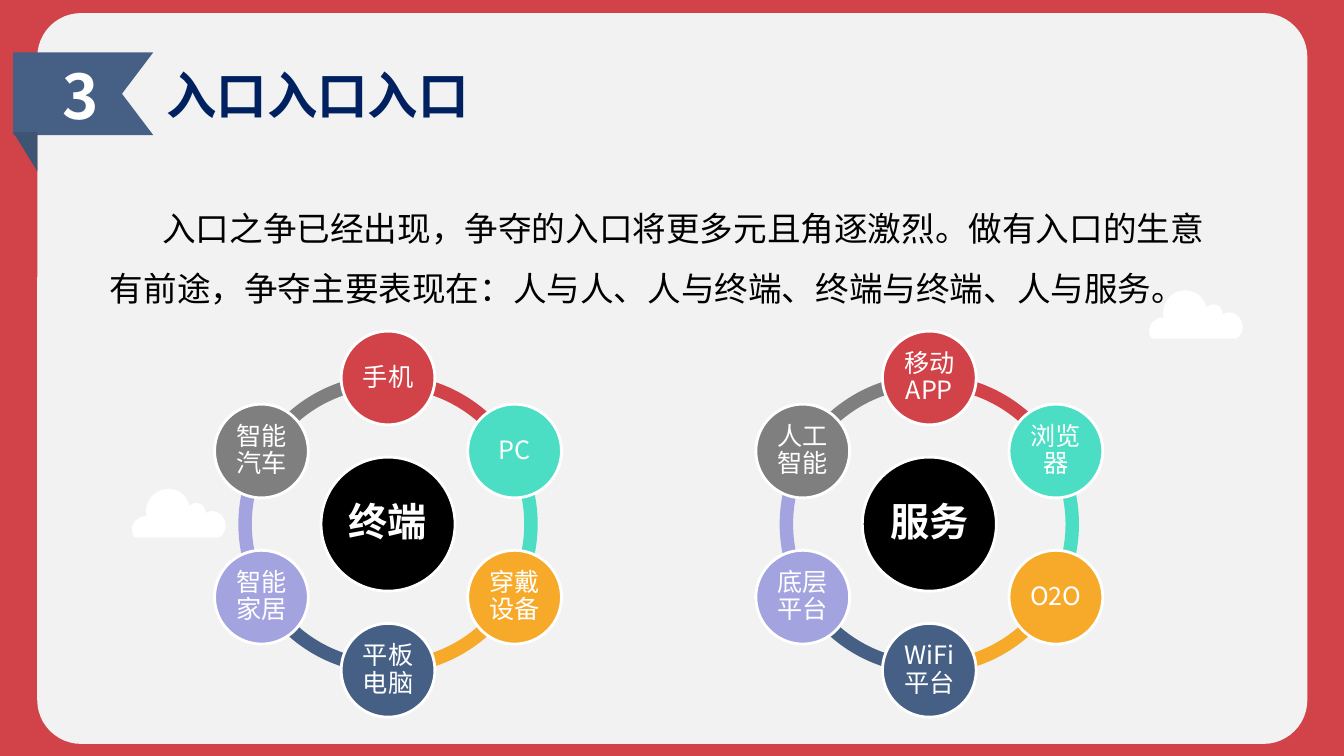
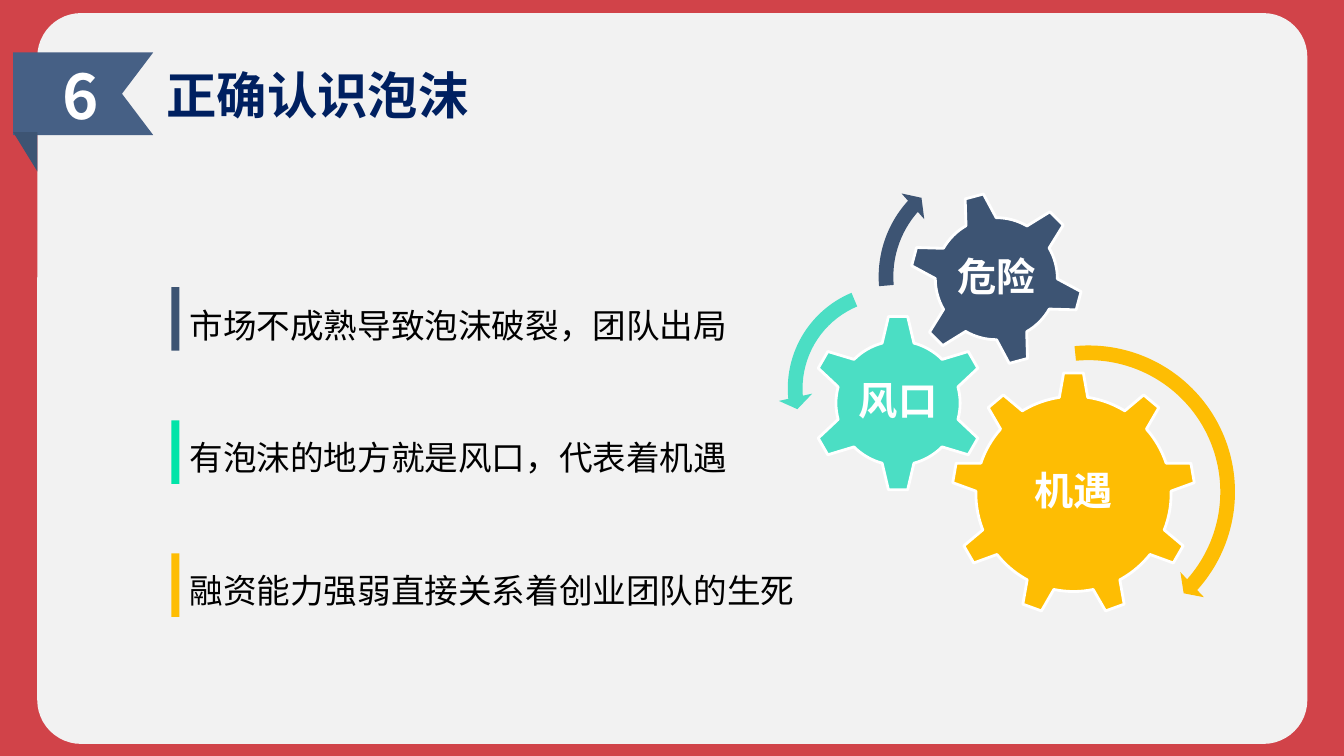
import math
from dataclasses import dataclass

import pptx
import pptx.dml.color
import pptx.enum.shapes
import pptx.enum.text
import pptx.oxml
import pptx.oxml.ns
import pptx.util

SHAPE = pptx.enum.shapes.MSO_SHAPE
ALIGN = pptx.enum.text.PP_ALIGN
ANCHOR = pptx.enum.text.MSO_ANCHOR
EMU_PER_PX = 9144  # 100 px to the inch
SLIDE_HEIGHT = 750
SLIDE_WIDTH = SLIDE_HEIGHT * 16 / 9


@dataclass(frozen=True)
class Theme:
    red: str = "D14349"
    paper: str = "F2F2F2"
    navy: str = "466085"
    dark_navy: str = "3D5473"
    title: str = "002060"
    teal: str = "4BDEC4"
    green: str = "00E4A8"
    orange: str = "F7AA2A"
    yellow: str = "FEBD03"
    lavender: str = "A3A3E0"
    grey: str = "7F7F7F"
    black: str = "000000"
    white: str = "FFFFFF"
    font: str = "Noto Sans CJK SC"
    number_font: str = "Noto Sans CJK JP"
    number_size: int = 44
    title_size: int = 36
    hub_size: int = 28
    body_size: int = 24
    node_size: int = 18


THEME = Theme()
RING_COLORS = (THEME.red, THEME.teal, THEME.orange,
               THEME.navy, THEME.lavender, THEME.grey)

# Cloud outline: start point, then cubic curves or single line ends
CLOUD_START = (36, 0)
CLOUD_SEGMENTS = (
    (46, 0, 55, 7, 57, 17), (59, 15, 61, 14, 64, 14),
    (69, 14, 73, 18, 73, 24), (75, 23, 77, 22, 79, 22),
    (87, 22, 93, 29, 93, 36), (93, 41, 90, 46, 87, 48),
    (3, 48), (1, 46, 0, 44, 0, 41), (0, 33, 6, 27, 14, 27), (15, 27),
    (14, 26, 14, 24, 14, 22), (14, 10, 24, 0, 36, 0),
)


# Basic elements
def px(length):
    return pptx.util.Emu(round(length * EMU_PER_PX))


def rgb(color):
    return pptx.dml.color.RGBColor.from_string(color)


def paint(shape, fill, outline=None):
    shape.shadow.inherit = False
    shape.fill.solid()
    shape.fill.fore_color.rgb = rgb(fill)
    if outline:
        shape.line.color.rgb = rgb(outline)
        shape.line.width = pptx.util.Pt(2)
    else:
        shape.line.fill.background()
    return shape


def place(shape, left, top, width, height):
    shape.left, shape.top = px(left), px(top)
    shape.width, shape.height = px(width), px(height)


def add_preset(slide, kind, box, fill, outline=None, adjust=(), rotation=0):
    shape = slide.shapes.add_shape(kind, *map(px, box))
    for index, value in enumerate(adjust):
        shape.adjustments[index] = value
    shape.rotation = rotation
    return paint(shape, fill, outline)


def add_outline(slide, points, fill):
    corners = [(px(x), px(y)) for x, y in points]
    builder = slide.shapes.build_freeform(*corners[0])
    builder.add_line_segments(corners[1:], close=True)
    return paint(builder.convert_to_shape(), fill)


def set_text(shape, text, size=THEME.body_size, color=THEME.black, bold=False,
             font=THEME.font, align=ALIGN.LEFT, anchor=ANCHOR.TOP, inset=None,
             spacing=1.0, gap=0, indent=0):
    frame = shape.text_frame
    frame.text = text
    frame.word_wrap = True
    frame.auto_size = pptx.enum.text.MSO_AUTO_SIZE.NONE
    frame.vertical_anchor = anchor
    if inset is not None:
        frame.margin_left = frame.margin_right = px(inset)
        frame.margin_top = frame.margin_bottom = px(inset)
    for index, paragraph in enumerate(frame.paragraphs):
        paragraph.alignment = align
        paragraph.line_spacing = spacing
        paragraph.space_before = pptx.util.Pt(gap if index else 0)
        if shape.is_placeholder:
            properties = paragraph._p.get_or_add_pPr()
            properties.set("marL", "0")
            properties.set("indent", str(px(indent)))
            properties.append(pptx.oxml.parse_xml(
                "<a:buNone %s/>" % pptx.oxml.ns.nsdecls("a")))
        for run in paragraph.runs:
            run.font.size = pptx.util.Pt(size)
            run.font.bold = bold
            run.font.color.rgb = rgb(color)
            run.font.name = font
            run._r.get_or_add_rPr().append(pptx.oxml.parse_xml(
                '<a:ea %s typeface="%s"/>' % (pptx.oxml.ns.nsdecls("a"), font)))


def set_label(shape, text, size, bold=False, inset=4):
    set_text(shape, text, size=size, color=THEME.white, bold=bold, inset=inset,
             align=ALIGN.CENTER, anchor=ANCHOR.MIDDLE, spacing=0.9)


# Shared frame and headings
def build_frame(presentation, layout, slide):
    """Draw the card and ribbon once and hand them to the layout."""
    background = presentation.slide_master.background.fill
    background.solid()
    background.fore_color.rgb = rgb(THEME.paper)
    for footer in list(layout.placeholders)[2:]:
        layout.shapes._spTree.remove(footer._element)
    parts = (
        add_preset(slide, SHAPE.RECTANGLE, (0, 0, SLIDE_WIDTH, SLIDE_HEIGHT),
                   THEME.red),
        add_preset(slide, SHAPE.ROUNDED_RECTANGLE, (37, 13, 1260, 725),
                   THEME.paper, adjust=(0.06,)),
        add_outline(slide, ((13, 52), (152, 52), (121, 93), (152, 134),
                            (13, 134)), THEME.navy),
        add_preset(slide, SHAPE.RIGHT_TRIANGLE, (13, 131, 24, 39),
                   THEME.dark_navy, rotation=180),
    )
    for index, part in enumerate(parts):
        part._element.nvSpPr.cNvPr.id = 100 + index
        layout.shapes._spTree.insert(2 + index, part._element)
    place(layout.placeholders[0], 155, 59, 323, 71)


def add_heading(slide, number, title):
    set_text(slide.shapes.title, title, size=THEME.title_size,
             color=THEME.title, bold=True)
    badge = slide.shapes.add_textbox(*map(px, (52, 53, 63, 84)))
    set_text(badge, number, size=THEME.number_size, color=THEME.white,
             bold=True, font=THEME.number_font)


# Diagram parts
def centred(x, y, size):
    return x - size / 2, y - size / 2, size, size


def add_ring(slide, x, y, hub, nodes):
    step = 360 / len(nodes)
    angles = [(270 + step * index) % 360 for index in range(len(nodes))]
    # Last arc lies at the back
    for angle, color in reversed(list(zip(angles, RING_COLORS))):
        # Arc angles are stored in 60000ths of a degree, adjustments in 100000ths
        add_preset(slide, SHAPE.BLOCK_ARC, centred(x, y, 297), color,
                   adjust=(angle * 0.6, (angle + step) % 360 * 0.6, 0.045))
    centre = add_preset(slide, SHAPE.OVAL, centred(x, y, 133),
                        THEME.black, THEME.white)
    set_label(centre, hub, THEME.hub_size, bold=True)
    for angle, color, text in zip(angles, RING_COLORS, nodes):
        turn = math.radians(angle)
        spot = centred(x + 145 * math.cos(turn), y + 145 * math.sin(turn), 93)
        node = add_preset(slide, SHAPE.OVAL, spot, color, THEME.white)
        set_label(node, text, THEME.node_size, inset=3)


def add_cloud(slide, left, top):
    points = [CLOUD_START]
    for segment in CLOUD_SEGMENTS:
        points.extend(zip(segment[::2], segment[1::2]))
    cloud = add_outline(slide, [(left + x, top + y) for x, y in points],
                        THEME.white)
    # Join each three control points into one cubic curve
    lines = iter(list(cloud._element.iter(pptx.oxml.ns.qn("a:lnTo"))))
    for segment in CLOUD_SEGMENTS:
        steps = [next(lines) for _ in range(len(segment) // 2)]
        if len(steps) == 3:
            curve = pptx.oxml.parse_xml(
                "<a:cubicBezTo %s/>" % pptx.oxml.ns.nsdecls("a"))
            steps[0].addprevious(curve)
            for line in steps:
                curve.append(line[0])
                line.getparent().remove(line)


def add_gear(slide, kind, box, color, text, text_box, rotation=0):
    add_preset(slide, kind, box, color, THEME.white, rotation=rotation)
    label = slide.shapes.add_textbox(*map(px, text_box))
    set_label(label, text, THEME.hub_size, bold=True)


# Slides
def build_entrances(slide):
    add_heading(slide, "3", "入口入口入口")
    summary = slide.placeholders[1]
    place(summary, 99, 181, 1135, 124)
    set_text(summary, "入口之争已经出现，争夺的入口将更多元且角逐激烈。"
             "做有入口的生意有前途，争夺主要表现在：人与人、人与终端、"
             "终端与终端、人与服务。", spacing=1.5, indent=52)
    add_ring(slide, 385, 520, "终端",
             ("手机", "PC", "穿戴设备", "平板电脑", "智能家居", "智能汽车"))
    add_ring(slide, 922, 520, "服务",
             ("移动APP", "浏览器", "O2O", "WiFi平台", "底层平台", "人工智能"))
    add_cloud(slide, 1140, 288)
    add_cloud(slide, 131, 485)


def build_bubbles(slide):
    add_heading(slide, "6", "正确认识泡沫")
    # Gears
    add_gear(slide, SHAPE.GEAR_9, (944, 369, 242, 242), THEME.yellow,
             "机遇", (993, 426, 145, 125))
    add_gear(slide, SHAPE.GEAR_6, (803, 312, 176, 176), THEME.teal,
             "风口", (847, 356, 88, 87))
    add_gear(slide, SHAPE.GEAR_6, (902, 190, 173, 173), THEME.dark_navy,
             "危险", (940, 228, 97, 97), rotation=345)
    # Turning arrows
    add_preset(slide, SHAPE.CIRCULAR_ARROW, (925, 333, 310, 310), THEME.yellow,
               adjust=(0.047, 2.99, 25.122, 158.698, 0.055))
    add_preset(slide, SHAPE.LEFT_CIRCULAR_ARROW, (772, 273, 225, 225),
               THEME.teal, adjust=(0.065, 4.3, 104.891, 148.378, 0.075))
    add_preset(slide, SHAPE.CIRCULAR_ARROW, (862, 153, 243, 243),
               THEME.dark_navy, adjust=(0.06, 3.941, 133.138, 105.082, 0.07))
    # Three statements with colour bars
    statements = slide.placeholders[1]
    place(statements, 178, 297, 626, 315)
    set_text(statements, "市场不成熟导致泡沫破裂，团队出局\n"
             "有泡沫的地方就是风口，代表着机遇\n"
             "融资能力强弱直接关系着创业团队的生死", gap=66)
    for row, color in enumerate((THEME.dark_navy, THEME.green, THEME.yellow)):
        add_preset(slide, SHAPE.RECTANGLE, (170, 285 + 132 * row, 8, 63), color)


def main():
    presentation = pptx.Presentation()
    presentation.slide_width = px(SLIDE_WIDTH)
    presentation.slide_height = px(SLIDE_HEIGHT)
    layout = presentation.slide_layouts[1]
    entrances = presentation.slides.add_slide(layout)
    bubbles = presentation.slides.add_slide(layout)
    build_frame(presentation, layout, entrances)
    build_entrances(entrances)
    build_bubbles(bubbles)
    presentation.save("out.pptx")


if __name__ == "__main__":
    main()
